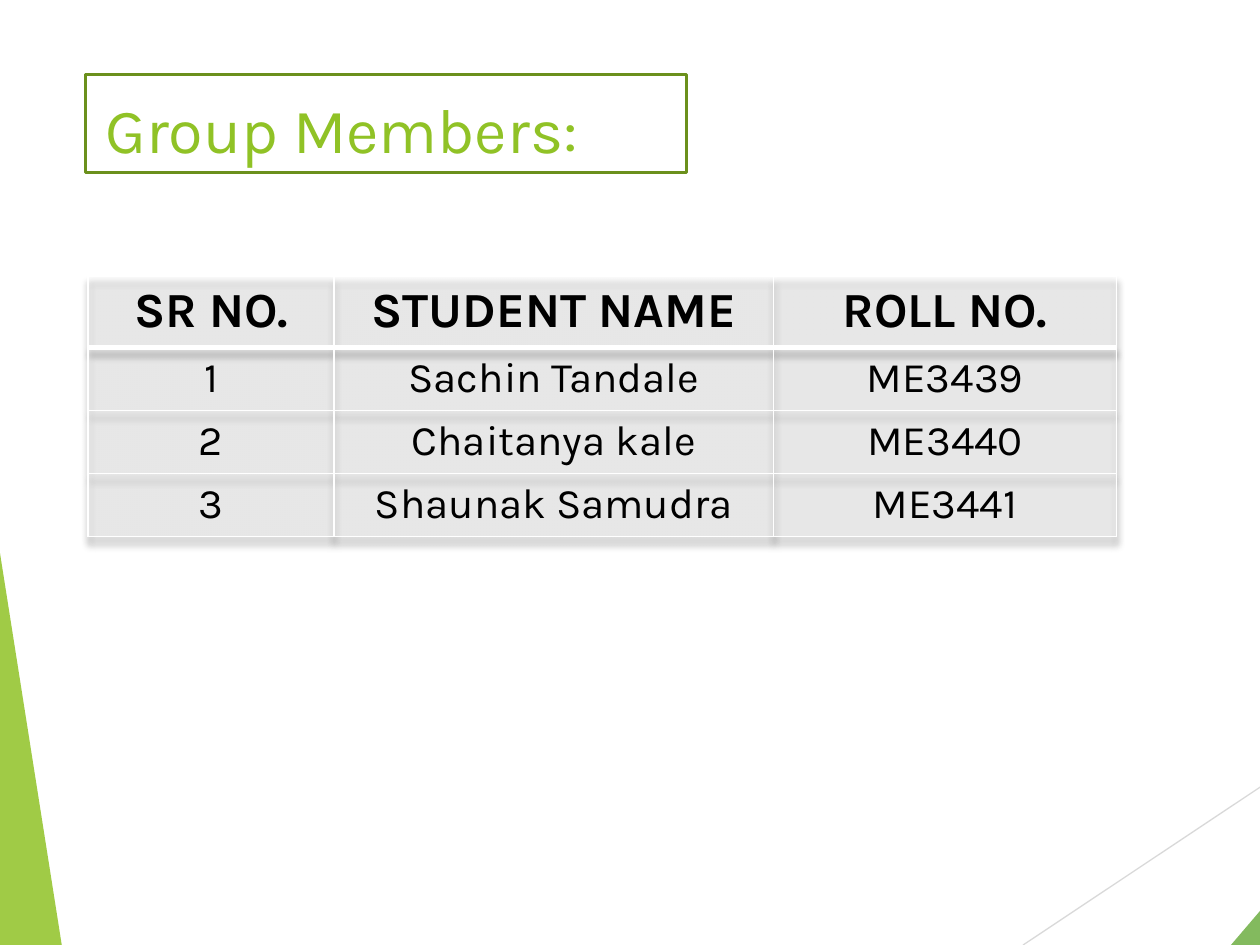
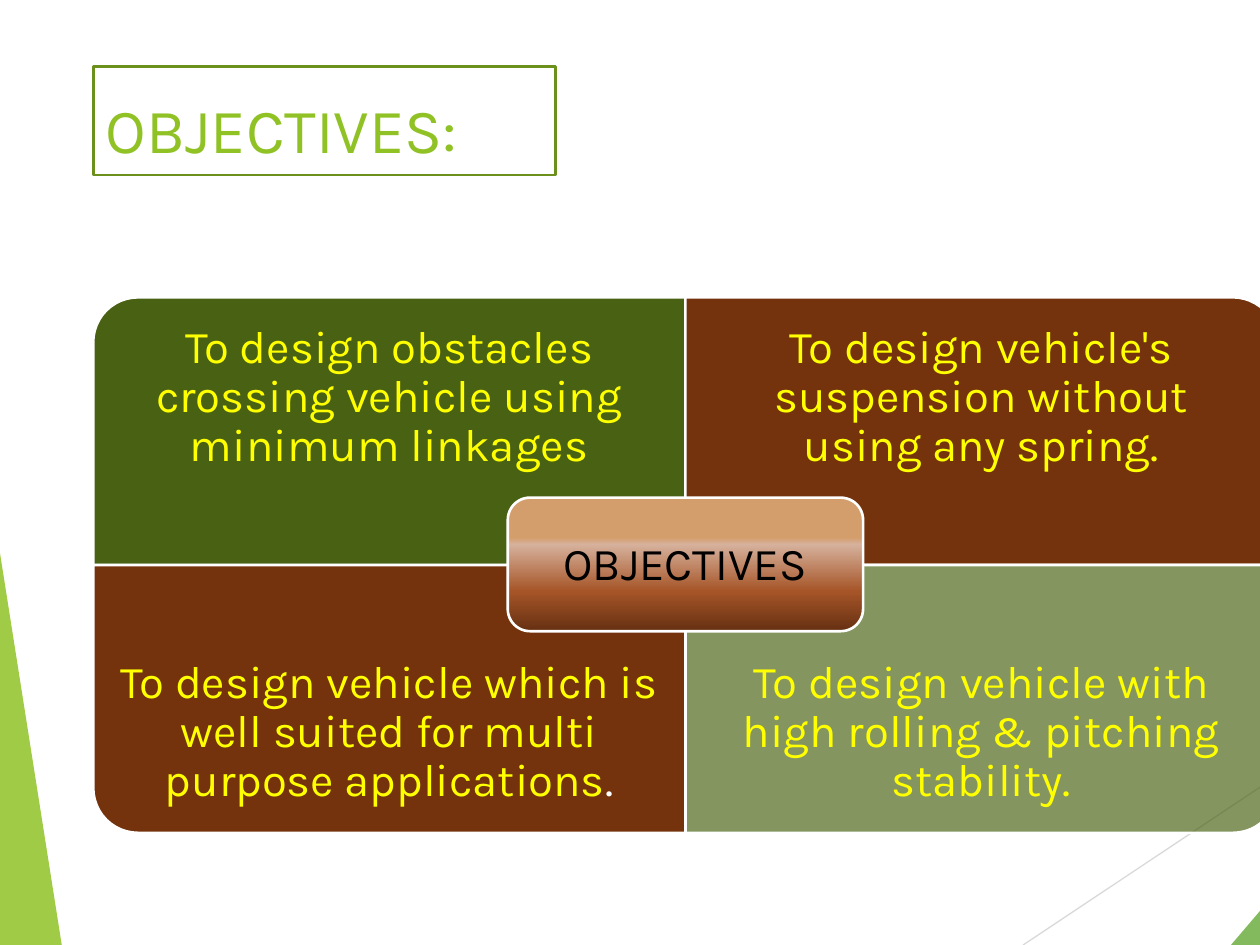
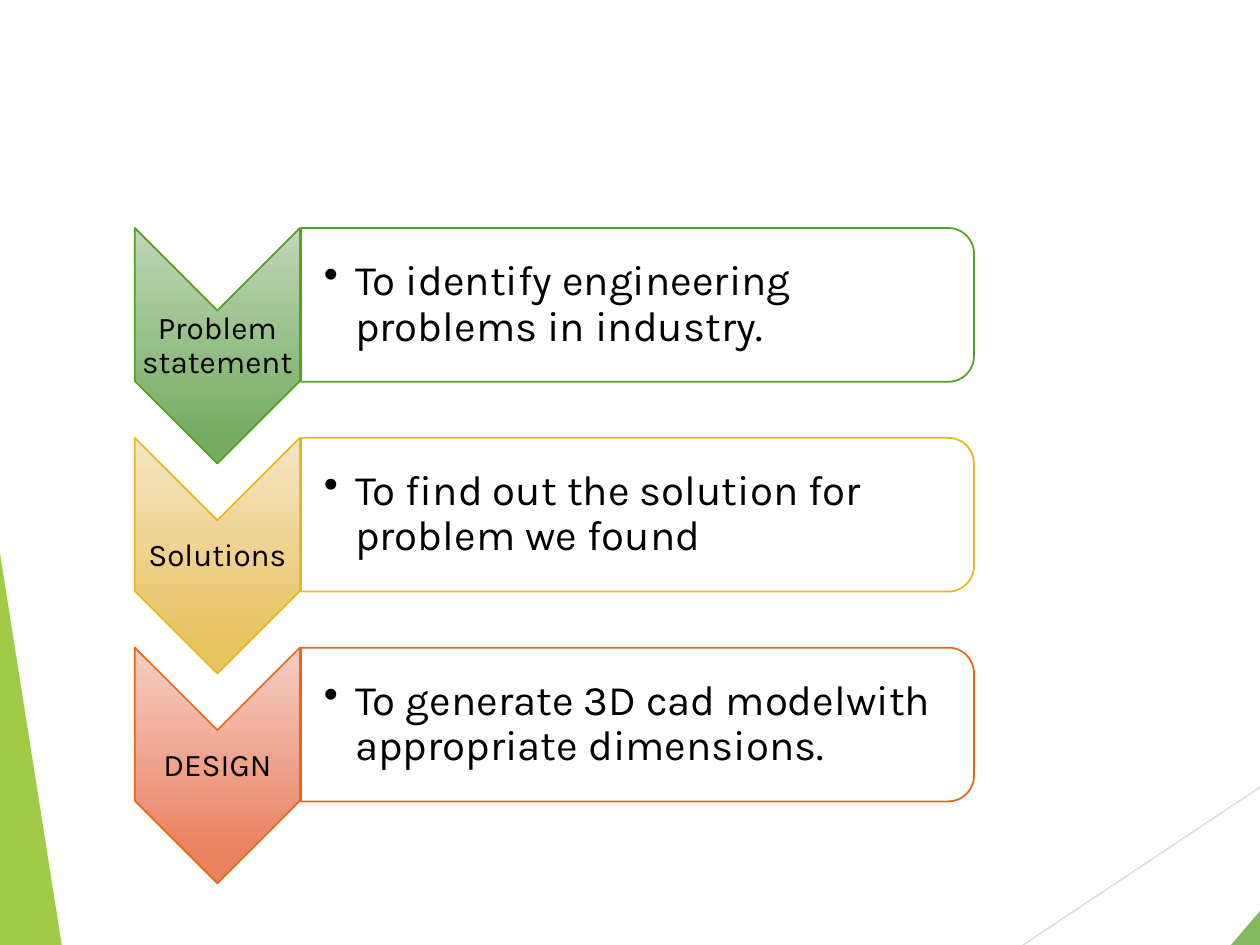
from lxml.etree import SubElement
from pptx import Presentation
from pptx.dml.color import RGBColor
from pptx.enum.shapes import MSO_CONNECTOR, MSO_SHAPE
from pptx.enum.text import MSO_ANCHOR, PP_ALIGN
from pptx.oxml.ns import qn
from pptx.util import Inches, Pt

RECTANGLE = MSO_SHAPE.RECTANGLE
ROUNDED = MSO_SHAPE.ROUNDED_RECTANGLE
ONE_ROUND_CORNER = MSO_SHAPE.ROUND_1_RECTANGLE
TWO_ROUND_CORNERS = MSO_SHAPE.ROUND_2_SAME_RECTANGLE
TRIANGLE = MSO_SHAPE.ISOSCELES_TRIANGLE
CHEVRON = MSO_SHAPE.CHEVRON
STRAIGHT = MSO_CONNECTOR.STRAIGHT
TOP, MIDDLE = MSO_ANCHOR.TOP, MSO_ANCHOR.MIDDLE
LEFT, CENTER = PP_ALIGN.LEFT, PP_ALIGN.CENTER

COLUMNS, ROWS = 100, 75
FONT = "Karla"
WHITE, BLACK, YELLOW = "FFFFFF", "000000", "FFFF00"
LIME, GREEN, FRAME_GREEN = "90C226", "54A021", "6B901C"
MOSS, BROWN = "486113", "74330C"
GRAY, CELL_GRAY = "D9D9D9", "FBFBFB"


def rgb(color):
    return RGBColor.from_string(color)


def xml(parent, tag, **attributes):
    """Append a DrawingML element to parent."""
    return SubElement(parent, qn("a:" + tag), {k: str(v) for k, v in attributes.items()})


class Deck:
    """Holds the shared style and the current slide; lengths are grid columns and rows."""

    def __init__(self):
        self.prs = Presentation()
        self.prs.slide_width, self.prs.slide_height = Inches(10), Inches(7.5)
        self.slide = None

    def grid(self, *lengths):
        """Turn alternating column and row counts into lengths."""
        steps = (self.prs.slide_width / COLUMNS, self.prs.slide_height / ROWS)
        return [round(n * steps[i % 2]) for i, n in enumerate(lengths)]

    def new_slide(self):
        """Start a slide with the shared corner decoration."""
        self.slide = self.prs.slides.add_slide(self.prs.slide_layouts[6])
        self.line(133.3, 40.3, 81.2, 75, GRAY, 0.75)
        self.shape(TRIANGLE, (97.7, 33.3, 35.6, 41.7), GREEN, 72, adjust=1)
        self.shape(TRIANGLE, (0, 43.9, 4.9, 31.1), LIME, 85, adjust=0)

    def line(self, x1, y1, x2, y2, color, width):
        connector = self.slide.shapes.add_connector(STRAIGHT, *self.grid(x1, y1, x2, y2))
        connector.line.color.rgb = rgb(color)
        connector.line.width = Pt(width)
        xml(connector._element.spPr, "effectLst")

    def solid(self, filled, properties, color, opacity=100):
        filled.fill.solid()
        filled.fill.fore_color.rgb = rgb(color)
        if opacity < 100:
            xml(properties.find(qn("a:solidFill"))[0], "alpha", val=opacity * 1000)

    def gradient(self, shape, stops):
        """Fill from top to bottom of the slide, whatever the shape's rotation."""
        shape.fill.gradient()
        shape.fill.gradient_angle = 270
        gradient = shape._element.spPr.find(qn("a:gradFill"))
        gradient.set("rotWithShape", "0")
        stop_list = gradient.find(qn("a:gsLst"))
        for default_stop in list(stop_list):
            stop_list.remove(default_stop)
        for position, color in stops:
            xml(xml(stop_list, "gs", pos=position * 1000), "srgbClr", val=color)

    def shape(self, kind, box, fill=None, opacity=100, line=None, width=1.0,
              rotation=0, adjust=None):
        """Draw a preset so that it covers box after its rotation."""
        left, top, across, down = self.grid(*box)
        if rotation % 180:
            left, top = left + (across - down) // 2, top + (down - across) // 2
            across, down = down, across
        shape = self.slide.shapes.add_shape(kind, left, top, across, down)
        shape.shadow.inherit = False
        shape.rotation = rotation
        if adjust is not None:
            shape.adjustments[0] = adjust
        if fill is None:
            shape.fill.background()
        elif isinstance(fill, str):
            self.solid(shape, shape._element.spPr, fill, opacity)
        else:
            self.gradient(shape, fill)
        if line:
            shape.line.color.rgb = rgb(line)
            shape.line.width = Pt(width)
        else:
            shape.line.fill.background()

    def style_run(self, run, size, color, bold=False):
        run.font.name, run.font.size, run.font.bold = FONT, Pt(size), bold
        run.font.color.rgb = rgb(color)

    def text(self, box, content, size, color, insets=(0.1, 0.05), anchor=MIDDLE,
             align=CENTER, spacing=0.9, bullet=False, ending=None):
        """Write one paragraph; insets are the left one and the other three, in inches."""
        frame = self.slide.shapes.add_textbox(*self.grid(*box)).text_frame
        frame.word_wrap = True
        frame.vertical_anchor = anchor
        frame.margin_left = Inches(insets[0])
        frame.margin_top = frame.margin_right = frame.margin_bottom = Inches(insets[1])
        paragraph = frame.paragraphs[0]
        paragraph.text = content
        paragraph.alignment, paragraph.line_spacing = align, spacing
        self.style_run(paragraph.runs[0], size, color)
        if ending:
            last = paragraph.add_run()
            last.text, ending_color = ending
            self.style_run(last, size, ending_color)
        if bullet:
            properties = paragraph._p.get_or_add_pPr()
            properties.set("marL", str(Inches(0.25)))
            properties.set("indent", str(-Inches(0.25)))
            xml(properties, "buChar", char="•")

    def title(self, content, frame_box, frame_width):
        self.text((7.4, 6.7, 94, 14.4), content, 36, LIME, anchor=TOP, align=LEFT, spacing=1.0)
        self.shape(RECTANGLE, frame_box, line=FRAME_GREEN, width=frame_width)

    def borders(self, cell, top, bottom):
        properties = cell._tc.get_or_add_tcPr()
        for side, width in (("L", 1), ("R", 1), ("T", top), ("B", bottom)):
            edge = xml(properties, "ln" + side, w=Pt(width))
            xml(xml(edge, "solidFill"), "srgbClr", val=WHITE)

    def table(self, box, rows, column_widths, row_height):
        table = self.slide.shapes.add_table(len(rows), len(rows[0]), *self.grid(*box)).table
        table.first_row = table.horz_banding = False
        effects = xml(table._tbl.tblPr, "effectLst")
        table._tbl.tblPr.insert(0, effects)
        shadow = xml(effects, "outerShdw", blurRad=Pt(4), dist=Pt(4), dir=5400000,
                     algn="t", rotWithShape=0)
        xml(xml(shadow, "srgbClr", val=BLACK), "alpha", val=40000)
        for column, width in zip(table.columns, column_widths):
            column.width = self.grid(width)[0]
        for r, values in enumerate(rows):
            table.rows[r].height = self.grid(0, row_height)[1]
            for c, value in enumerate(values):
                cell = table.cell(r, c)
                self.borders(cell, 3 if r == 1 else 1, 3 if r == 0 else 1)
                self.solid(cell, cell._tc.tcPr, CELL_GRAY, 34)
                paragraph = cell.text_frame.paragraphs[0]
                paragraph.text = value
                paragraph.alignment = CENTER
                self.style_run(paragraph.runs[0], 24 if r else 28, BLACK, bold=r == 0)


def members_slide(deck):
    deck.new_slide()
    deck.title("Group Members:", (6.8, 5.9, 47.7, 7.8), 1.75)
    members = [
        ("SR NO.", "STUDENT NAME", "ROLL NO."),
        ("1", "Sachin Tandale", "ME3439"),
        ("2", "Chaitanya kale", "ME3440"),
        ("3", "Shaunak Samudra", "ME3441"),
    ]
    deck.table((7, 21.9, 81.7, 20.7), members, (19.5, 34.9, 27.2), 4.1)


def objectives_slide(deck):
    deck.new_slide()
    left, top, across, down = 7.4, 23.6, 47, 21.25
    objectives = [
        ("To design obstacles crossing vehicle using minimum linkages", None, MOSS, 100, 270),
        ("To design vehicle's suspension without using any spring.", None, BROWN, 100, 0),
        ("To design vehicle which is well suited for multi purpose applications",
         (".", WHITE), BROWN, 100, 180),
        ("To design vehicle with high rolling & pitching stability.", None, MOSS, 67, 90),
    ]
    for i, (objective, ending, fill, opacity, rotation) in enumerate(objectives):
        row, column = divmod(i, 2)
        x, y = left + column * across, top + row * down
        deck.shape(ONE_ROUND_CORNER, (x, y, across, down), fill, opacity, WHITE, 1.5, rotation)
        deck.text((x, y + row * down / 4, across, down * 3 / 4), objective, 26, YELLOW,
                  insets=(0.2, 0.2), ending=ending)
    copper = [(30, "D49E6C"), (35, "D6B19C"), (70, "A65528"), (100, "663012")]
    deck.shape(ROUNDED, (40.3, 39.5, 28.2, 10.6), copper, line=WHITE, width=1.5)
    deck.text((40.8, 40.1, 27.2, 9.6), "OBJECTIVES", 26, BLACK, insets=(0.11, 0.11))
    deck.title("OBJECTIVES:", (7.4, 5.3, 36.7, 8.6), 1.5)


def steps_slide(deck):
    deck.new_slide()
    top, pitch = 18.1, 16.65
    steps = [
        ("Problem statement", "To identify engineering problems in industry.",
         GREEN, "C0D6B9", "76AD61"),
        ("Solutions", "To find out the solution for problem we found",
         "E6B91E", "F5E5C5", "E9C260"),
        ("DESIGN", "To generate 3D cad modelwith appropriate dimensions.",
         "E76618", "F5CEC5", "EA815F"),
    ]
    for i, (stage, task, outline, light, dark) in enumerate(steps):
        y = top + i * pitch
        deck.shape(CHEVRON, (10.7, y, 13.1, 18.7), [(0, light), (88, dark)],
                   line=outline, rotation=90)
        deck.text((10.7, y + 6.6, 13.1, 5.6), stage, 18, BLACK, insets=(0.01, 0.01))
        deck.shape(TWO_ROUND_CORNERS, (23.9, y, 53.4, 12.2), WHITE, 90,
                   line=outline, rotation=90)
        deck.text((23.8, y + 0.6, 52.8, 11), task, 24, BLACK, insets=(0.19, 0.02),
                  align=LEFT, bullet=True)


def main():
    deck = Deck()
    members_slide(deck)
    objectives_slide(deck)
    steps_slide(deck)
    deck.prs.save("out.pptx")


if __name__ == "__main__":
    main()
